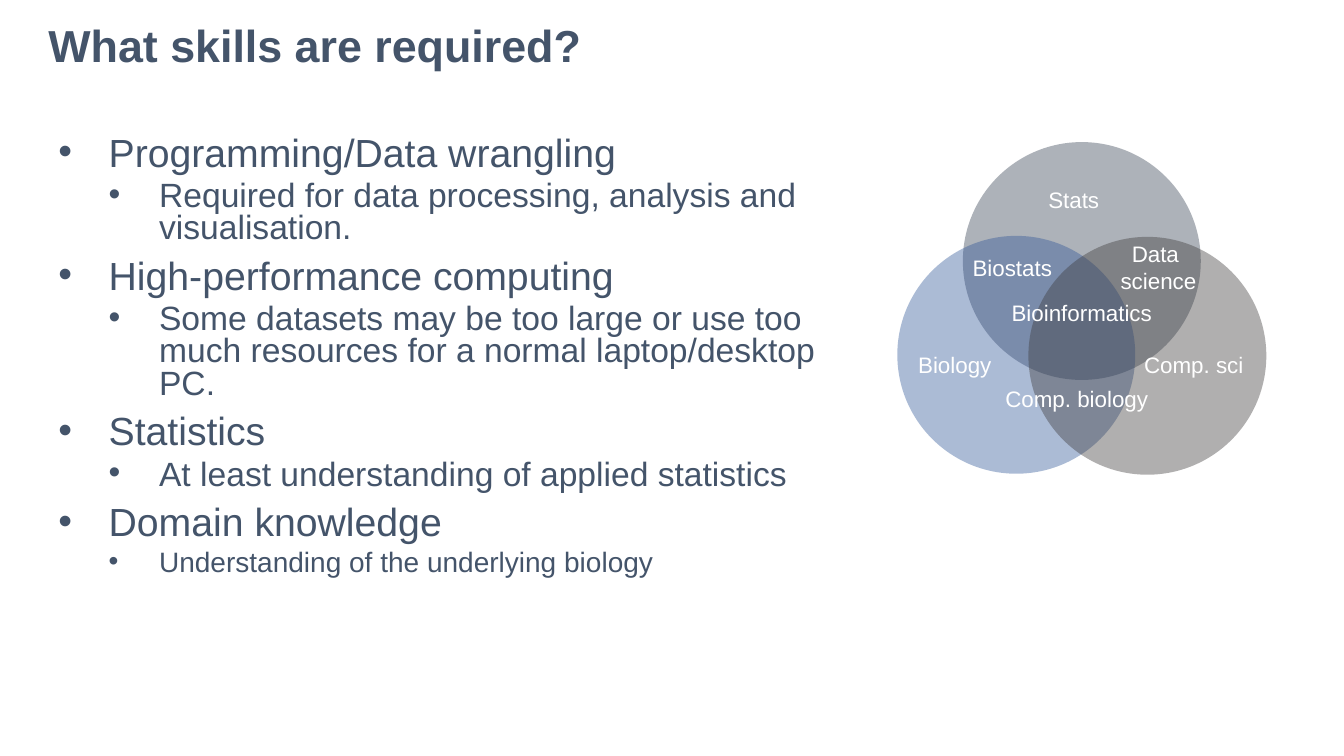
from lxml import etree
from pptx import Presentation
from pptx.dml.color import RGBColor
from pptx.enum.shapes import MSO_SHAPE as SHAPE
from pptx.enum.text import MSO_ANCHOR as ANCHOR, MSO_AUTO_SIZE as AUTO, PP_ALIGN as ALIGN
from pptx.oxml.ns import qn
from pptx.util import Inches, Pt

COLORS = {"text": "44546A", "label": "FFFFFF", "stats": "333F50",
          "biology": "2F5597", "computing": "3B3838"}

SKILLS = [
    ("Programming/Data wrangling",
     "Required for data processing, analysis and visualisation.", 24),
    ("High-performance computing",
     "Some datasets may be too large or use too much resources "
     "for a normal laptop/desktop PC.", 24),
    ("Statistics", "At least understanding of applied statistics", 24),
    ("Domain knowledge", "Understanding of the underlying biology", 20),
]

CIRCLES = [("stats", 0.65, 0), ("biology", 0, 0.93), ("computing", 1.3, 0.94)]

LABELS = [
    (["Stats"], 1.75, 0.39),
    (["Biostats"], 1.14, 1.06),
    (["Bioinformatics"], 1.83, 1.51),
    (["Comp. biology"], 1.78, 2.36),
    (["Biology"], 0.57, 2.02),
    (["Comp. sci"], 2.94, 2.02),
    (["Data ", "science"], 2.59, 0.92),
]


def add_run(p, text, size, color, bold=False):
    """Add a formatted run to a paragraph."""
    r = p.add_run()
    r.text = text
    r.font.name = "Arial"
    r.font.size = Pt(size)
    r.font.bold = bold
    r.font.color.rgb = RGBColor.from_string(COLORS[color])


def add_title(s, left, top, width, height):
    """Place and format the title placeholder."""
    title = s.shapes.title
    title.left, title.top = Inches(left), Inches(top)
    title.width, title.height = Inches(width), Inches(height)
    tf = title.text_frame
    tf.margin_left = tf.margin_top = tf.margin_right = tf.margin_bottom = 0
    tf.vertical_anchor = ANCHOR.TOP
    tf.auto_size = AUTO.NONE
    tf.word_wrap = True
    p = tf.paragraphs[0]
    p.alignment = ALIGN.LEFT
    p.line_spacing = 0.9
    add_run(p, "What skills are required?", 32, "text", True)


def add_bullet(p, level):
    """Give a paragraph a hanging bullet for its level."""
    p.level = level
    pPr = p._p.get_or_add_pPr()
    pPr.set("marL", str(Inches(0.5 * (level + 1))))
    pPr.set("indent", str(Inches(-0.5)))
    etree.SubElement(pPr, qn("a:buFont")).set("typeface", "Arial")
    etree.SubElement(pPr, qn("a:buChar")).set("char", "•")


def add_skills(s, left, top, width, height):
    """Write the two-level list of skills."""
    box = s.shapes.add_textbox(Inches(left), Inches(top), Inches(width), Inches(height))
    tf = box.text_frame
    tf.word_wrap = True
    for i, (skill, detail, detail_size) in enumerate(SKILLS):
        for level, (text, size) in enumerate([(skill, 28), (detail, detail_size)]):
            first = i == 0 and level == 0
            p = tf.paragraphs[0] if first else tf.add_paragraph()
            add_bullet(p, level)
            p.line_spacing = 0.8
            p.space_before = Pt(0 if first else 5 if level else 10)
            add_run(p, text, size, "text")


def add_circle(s, color, left, top, diameter):
    """Draw one translucent circle."""
    circle = s.shapes.add_shape(SHAPE.OVAL, Inches(left), Inches(top),
                                Inches(diameter), Inches(diameter))
    circle.shadow.inherit = False
    circle.line.fill.background()
    circle.fill.solid()
    circle.fill.fore_color.rgb = RGBColor.from_string(COLORS[color])
    rgb = circle._element.spPr.find(qn("a:solidFill")).find(qn("a:srgbClr"))
    etree.SubElement(rgb, qn("a:alpha")).set("val", "40000")


def add_label(s, lines, center, top):
    """Write a label centred on a horizontal position."""
    width, height = 1.67, 0.1 + 0.27 * len(lines)
    box = s.shapes.add_textbox(Inches(center - width / 2), Inches(top),
                               Inches(width), Inches(height))
    tf = box.text_frame
    tf.word_wrap = True
    for i, line in enumerate(lines):
        p = tf.add_paragraph() if i else tf.paragraphs[0]
        p.alignment = ALIGN.CENTER
        add_run(p, line, 16, "label")


def add_venn(s, left, top, diameter):
    """Draw the three overlapping fields and their labels."""
    for color, dx, dy in CIRCLES:
        add_circle(s, color, left + dx, top + dy, diameter)
    for lines, dx, dy in LABELS:
        add_label(s, lines, left + dx, top + dy)


def main():
    """Build and save the slide."""
    prs = Presentation()
    prs.slide_width, prs.slide_height = Inches(13.33), Inches(7.5)
    s = prs.slides.add_slide(prs.slide_layouts[5])
    add_title(s, 0.48, 0.24, 12.02, 0.87)
    add_skills(s, 0.48, 1.31, 7.8, 4.92)
    add_venn(s, 8.9, 1.41, 2.36)
    prs.save("out.pptx")


if __name__ == "__main__":
    main()
